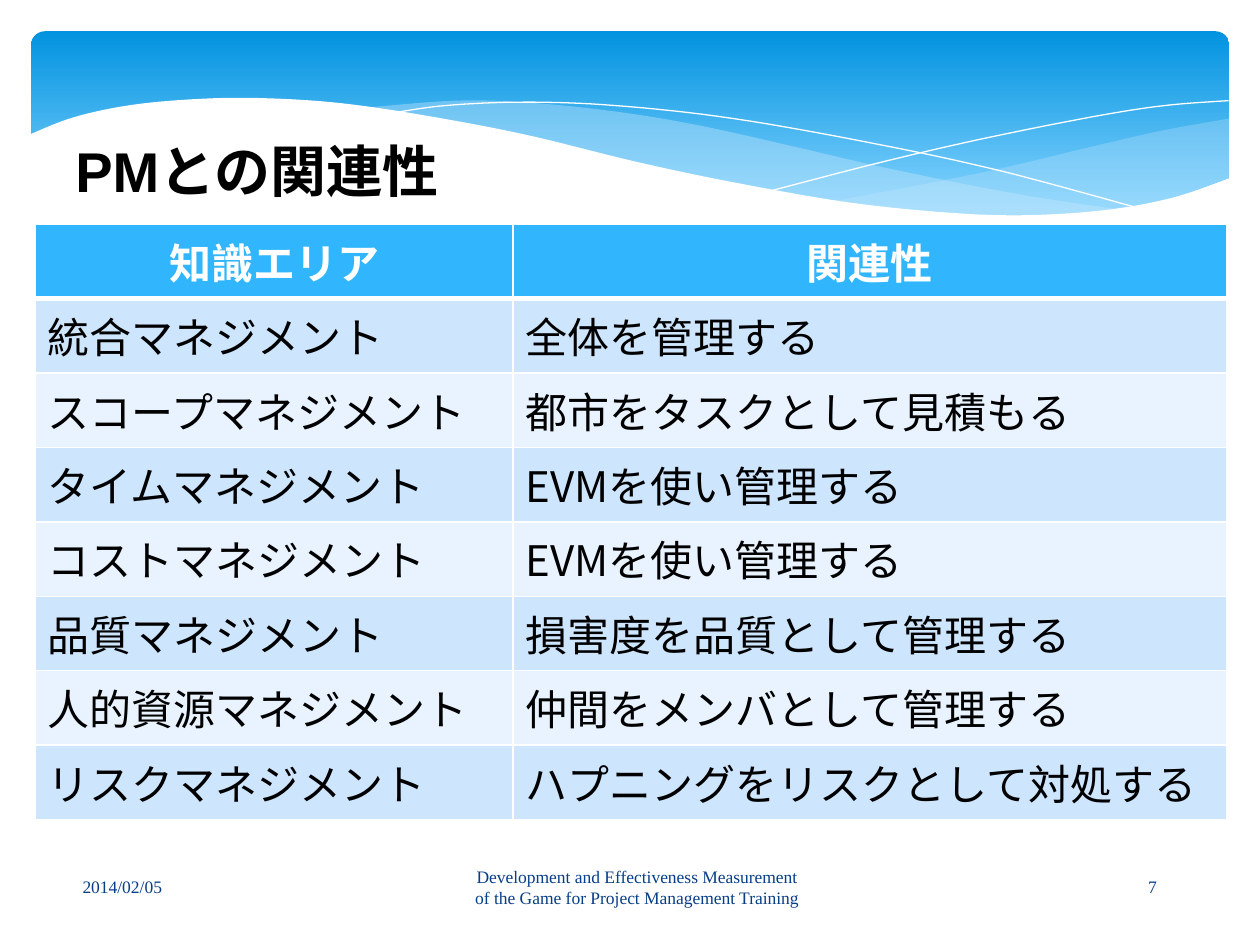
"""Build the slide that relates project management knowledge areas to the game."""
import pptx
import pptx.dml.color
import pptx.enum.shapes
import pptx.enum.text
import pptx.oxml
import pptx.oxml.ns
import pptx.util
from lxml import etree

Cm, Pt, RGB = pptx.util.Cm, pptx.util.Pt, pptx.dml.color.RGBColor
ALIGN, ANCHOR = pptx.enum.text.PP_ALIGN, pptx.enum.text.MSO_ANCHOR
qn = pptx.oxml.ns.qn

WHITE, BLACK = RGB(0xFF, 0xFF, 0xFF), RGB(0, 0, 0)
SKY_TOP, SKY_BOTTOM = RGB(0x02, 0x93, 0xE0), RGB(0x83, 0xD3, 0xFE)
MIST, NAVY = RGB(0xC6, 0xE7, 0xFC), RGB(0x07, 0x3E, 0x87)
HEAD = RGB(0x31, 0xB6, 0xFD)
BANDS = RGB(0xCE, 0xE5, 0xFE), RGB(0xE8, 0xF3, 0xFF)
CJK, SERIF = "Noto Sans CJK JP", "Times New Roman"

TITLE = "PMとの関連性"
ROWS = [
    ("知識エリア", "関連性"),
    ("統合マネジメント", "全体を管理する"),
    ("スコープマネジメント", "都市をタスクとして見積もる"),
    ("タイムマネジメント", "EVMを使い管理する"),
    ("コストマネジメント", "EVMを使い管理する"),
    ("品質マネジメント", "損害度を品質として管理する"),
    ("人的資源マネジメント", "仲間をメンバとして管理する"),
    ("リスクマネジメント", "ハプニングをリスクとして対処する"),
]
COL_WIDTHS, ROW_HEIGHT = (9.63, 14.38), 1.5
FOOTER = [
    (0.89, 3.15, ["2014/02/05"]),
    (4.14, 17.4, ["Development and Effectiveness Measurement",
                  "of the Game for Project Management Training"]),
    (21.62, 3.23, ["7"]),
]

RIGHT_MIST = [
    [(24.78, 2.39), (23.39, 2.64), (21.87, 2.99), (19.79, 3.48), (16.79, 4.06)],
    [(16.79, 4.06), (18.59, 4.27), (20.4, 4.37), (21.97, 4.34), (23.39, 4.06), (24.78, 3.59)],
]
CENTRE_MIST = [
    [(22.68, 4.24), (20.5, 3.91), (17.93, 3.4), (15.98, 2.95), (14.1, 2.53), (12.42, 2.25),
     (10.67, 2.07), (9.17, 2.03), (7.26, 2.18)],
    [(7.26, 2.18), (9.19, 2.46), (11.4, 2.95), (14.38, 3.63), (16.51, 4.01), (18.69, 4.29),
     (20.78, 4.39), (22.68, 4.24)],
]
FALLING_LINE = [[(7.85, 2.29), (8.97, 2.13), (10.57, 2.06), (12.42, 2.13), (14.78, 2.39),
                 (17.65, 2.9), (20.19, 3.45), (23.04, 4.22)]]
RISING_LINE = [[(15.57, 3.84), (17.65, 3.3), (19.71, 2.82), (22, 2.36), (23.47, 2.13), (24.77, 2.03)]]
WHITE_WAVE = [
    [(24.82, 3.58), (23.62, 3.99), (22.23, 4.24), (20.55, 4.34), (18.9, 4.27), (16.97, 4.06),
     (14.71, 3.66), (12.78, 3.25), (10.62, 2.72), (8.64, 2.34), (6.88, 2.08), (5.36, 1.98),
     (4.09, 1.99), (2.69, 2.11), (1.5, 2.36), (0.58, 2.72)],
    [(0.58, 5.69), (24.82, 5.69)],
]


def smooth(knots, steps=8):
    """Return the points of a Catmull-Rom curve through the knots."""
    if len(knots) < 3:
        return knots
    ends = [knots[0], *knots, knots[-1]]
    points = [knots[0]]
    for a, b, c, d in zip(ends, ends[1:], ends[2:], ends[3:]):
        for t in (i / steps for i in range(1, steps + 1)):
            points.append(tuple(
                (2 * q + (r - p) * t + (2 * p - 5 * q + 4 * r - w) * t ** 2
                 + (3 * q - p - 3 * r + w) * t ** 3) / 2
                for p, q, r, w in zip(a, b, c, d)))
    return points


def add_wave(s, curves, fill=None, opacity=100):
    """Draw curves as a filled area, or as a thin white line without a fill."""
    points = [(Cm(x), Cm(y)) for curve in curves for x, y in smooth(curve)]
    builder = s.shapes.build_freeform(*points[0], scale=1.0)
    builder.add_line_segments(points[1:], close=fill is not None)
    sp = builder.convert_to_shape()
    sp.shadow.inherit = False
    if fill is None:
        sp.fill.background()
        sp.line.color.rgb = WHITE
        sp.line.width = Pt(0)
        return
    sp.fill.solid()
    sp.fill.fore_color.rgb = fill
    sp.line.fill.background()
    if opacity < 100:
        color = sp._element.spPr.find(qn("a:solidFill"))[0]
        etree.SubElement(color, qn("a:alpha"), val=str(opacity * 1000))


def add_banner(s):
    """Draw the gradient band and its waves."""
    sp = s.shapes.add_shape(pptx.enum.shapes.MSO_SHAPE.ROUNDED_RECTANGLE,
                            Cm(0.63), Cm(0.63), Cm(24.15), Cm(3.96))
    sp.adjustments[0] = 0.07
    sp.shadow.inherit = False
    sp.line.fill.background()
    sp.fill.gradient()
    sp.fill.gradient_angle = 270
    for stop, color, position in zip(sp.fill.gradient_stops, (SKY_TOP, SKY_BOTTOM), (0, 0.9)):
        stop.color.rgb = color
        stop.position = position
    add_wave(s, RIGHT_MIST, MIST, 29)
    add_wave(s, CENTRE_MIST, MIST, 40)
    add_wave(s, FALLING_LINE)
    add_wave(s, RISING_LINE)
    add_wave(s, WHITE_WAVE, WHITE)


def write(tf, lines, size, font, color, bold=False, align=ALIGN.LEFT):
    """Fill a text frame with evenly styled paragraphs."""
    for i, line in enumerate(lines):
        p = tf.add_paragraph() if i else tf.paragraphs[0]
        p.text = line
        p.alignment = align
        p.font.size, p.font.bold, p.font.name = Pt(size), bold, font
        p.font.color.rgb = color
        etree.SubElement(p._p.pPr.find(qn("a:defRPr")), qn("a:ea"), typeface=CJK)


def add_text(s, box, lines, *style, **options):
    """Add a wrapped, vertically centred text box."""
    tf = s.shapes.add_textbox(*map(Cm, box)).text_frame
    tf.word_wrap = True
    tf.vertical_anchor = ANCHOR.MIDDLE
    write(tf, lines, *style, **options)


def add_border(cell, side, width):
    """Give one side of a cell a white border."""
    ln = etree.SubElement(cell._tc.get_or_add_tcPr(), qn("a:ln" + side), w=str(Pt(width)))
    fill = etree.SubElement(ln, qn("a:solidFill"))
    etree.SubElement(fill, qn("a:srgbClr"), val=str(WHITE))


def add_area_table(s):
    """Add the table of knowledge areas."""
    table = s.shapes.add_table(len(ROWS), len(COL_WIDTHS), Cm(0.71), Cm(4.52),
                               Cm(sum(COL_WIDTHS)), Cm(ROW_HEIGHT * len(ROWS))).table
    for column, width in zip(table.columns, COL_WIDTHS):
        column.width = Cm(width)
    for i, row in enumerate(ROWS):
        table.rows[i].height = Cm(ROW_HEIGHT)
        for j, text in enumerate(row):
            cell = table.cell(i, j)
            for side in "LRTB":
                add_border(cell, side, 3 if (i, side) in ((0, "B"), (1, "T")) else 1)
            cell.fill.solid()
            cell.fill.fore_color.rgb = BANDS[(i - 1) % 2] if i else HEAD
            write(cell.text_frame, [text], 24, CJK, BLACK if i else WHITE,
                  bold=i == 0, align=ALIGN.LEFT if i else ALIGN.CENTER)


def main():
    """Build and save the slide."""
    prs = pptx.Presentation()
    prs.slide_width, prs.slide_height = Cm(25.4), Cm(19.05)
    s = prs.slides.add_slide(prs.slide_layouts[6])
    add_banner(s)
    for left, width, lines in FOOTER:
        add_text(s, (left, 17.37, width, 1.02), lines, 10, SERIF, NAVY, align=ALIGN.CENTER)
    add_text(s, (1.27, 2.54, 12.9, 1.78), [TITLE], 32, "Arial", BLACK, bold=True)
    add_area_table(s)
    prs.save("out.pptx")


if __name__ == "__main__":
    main()
